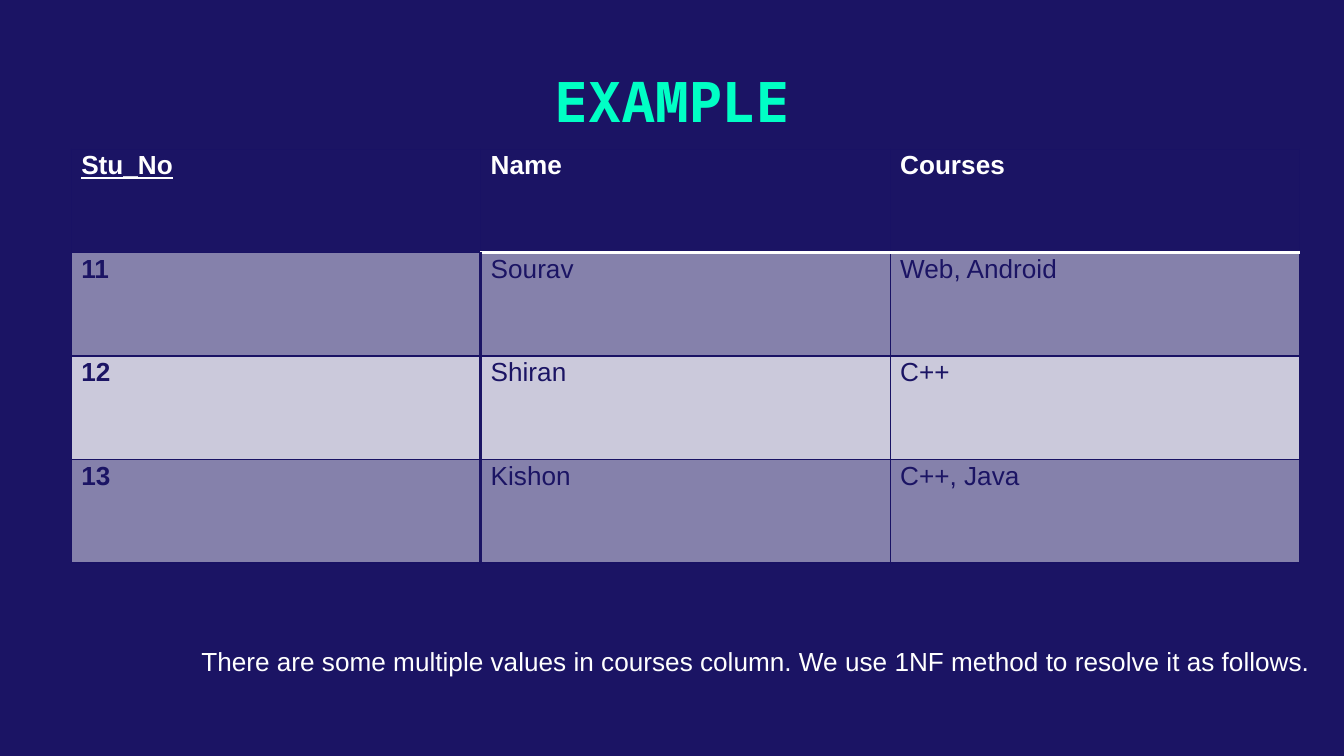
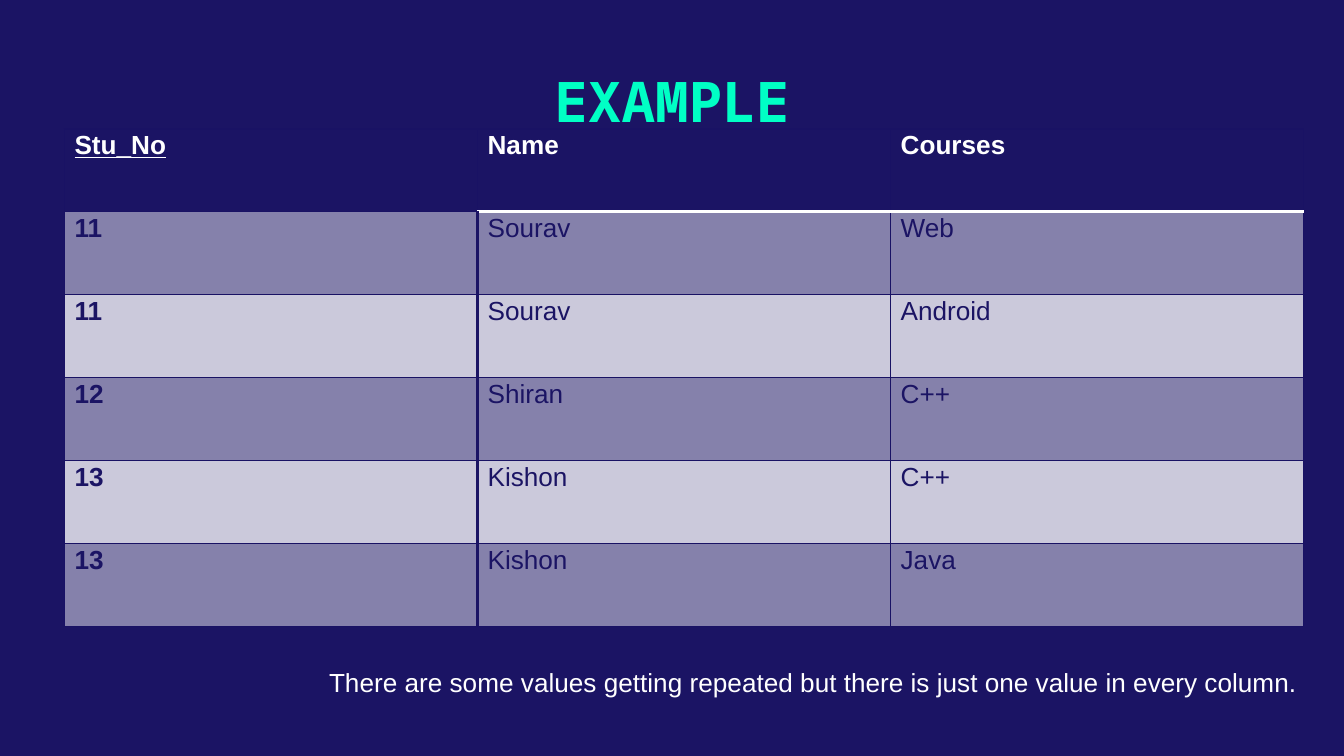
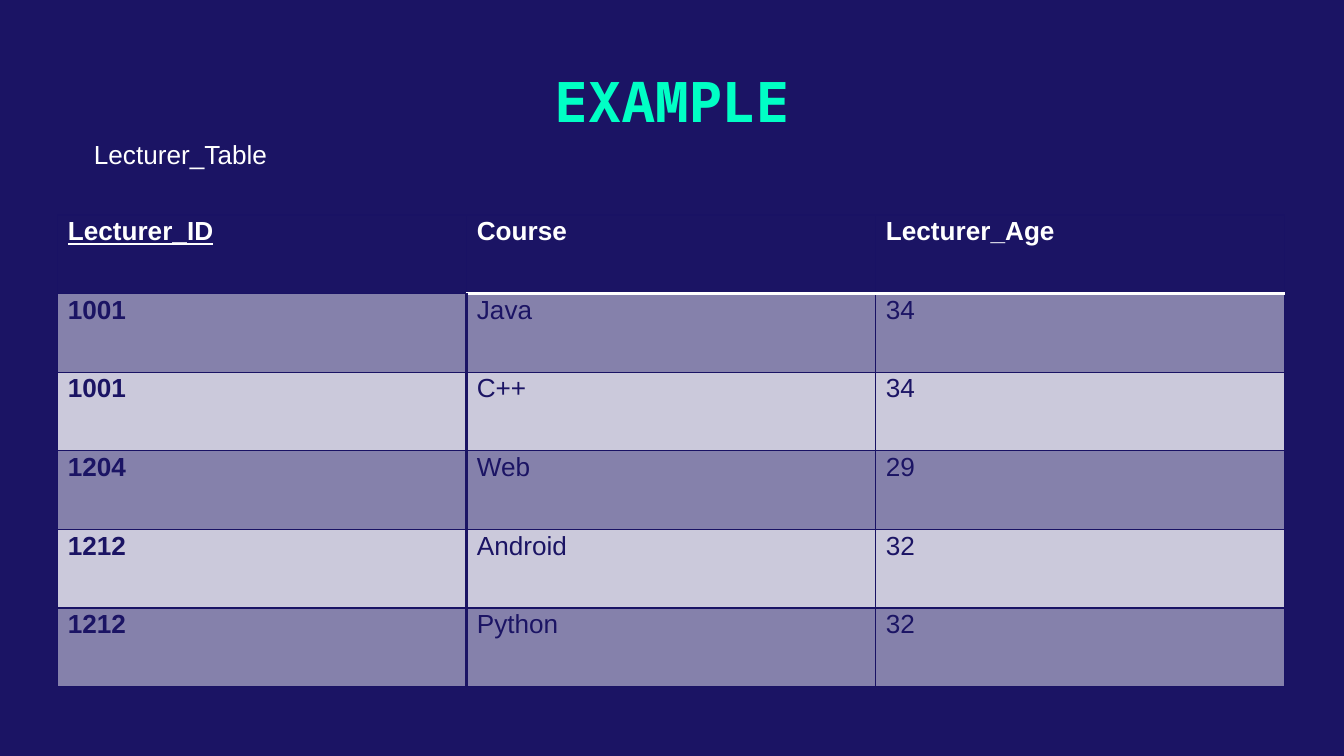
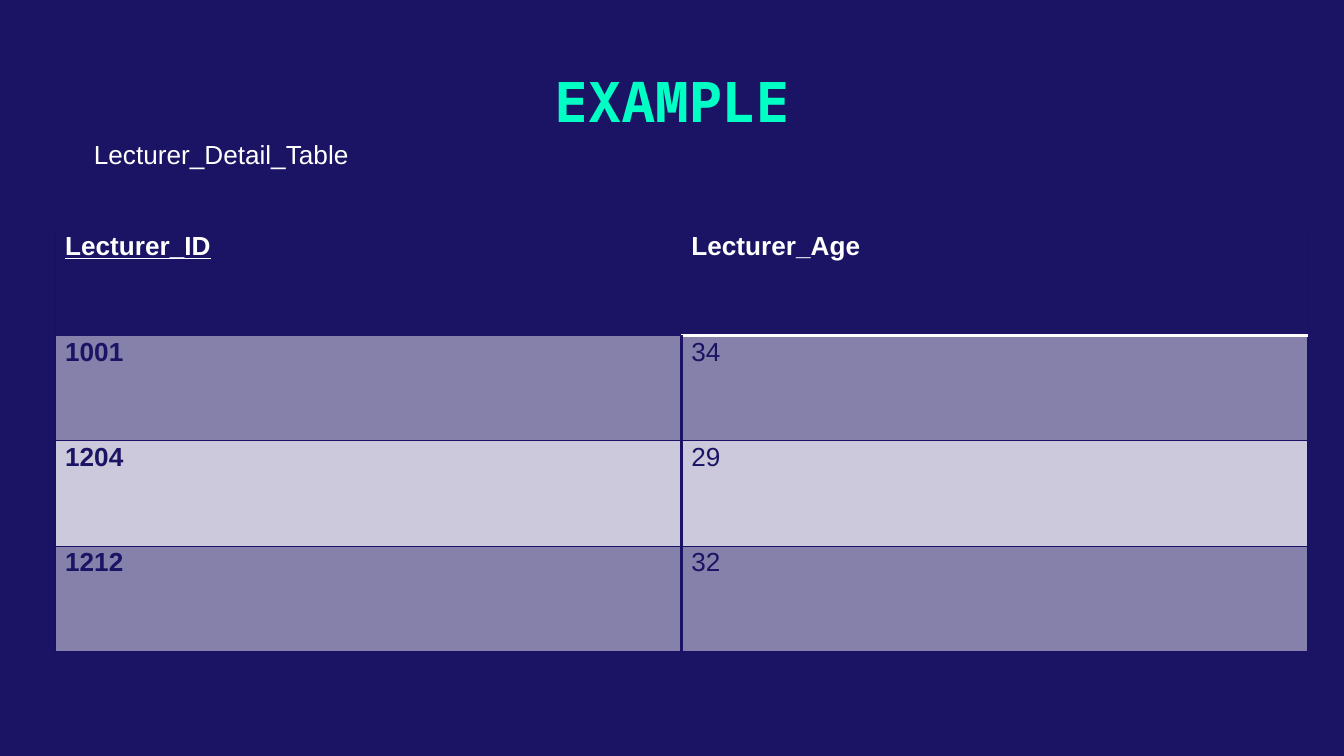
"""Build four slides that show example tables for database normal forms."""
import pptx
import pptx.util
import pptx.dml.color
import pptx.enum.text
import pptx.oxml
import pptx.oxml.ns

Inches = pptx.util.Inches
Pt = pptx.util.Pt
RGBColor = pptx.dml.color.RGBColor
ALIGN = pptx.enum.text.PP_ALIGN
ANCHOR = pptx.enum.text.MSO_ANCHOR
FIT = pptx.enum.text.MSO_AUTO_SIZE

NAVY = RGBColor(0x1B, 0x14, 0x64)
EDGE = RGBColor(0x19, 0x12, 0x64)
MINT = RGBColor(0x00, 0xFF, 0xC5)
WHITE = RGBColor(0xFF, 0xFF, 0xFF)
BANDS = [RGBColor(0x85, 0x81, 0xAB), RGBColor(0xCB, 0xC9, 0xDB)]

TITLE = "EXAMPLE"
TITLE_BOX = (1.4, 0.38, 7.2, 0.73)
LABEL_BOX = (0.6, 0.98, 3.59, 0.34)

SLIDES = [
    {
        "note": "There are some multiple values in courses column. "
                "We use 1NF method to resolve it as follows.",
        "note_box": (1.4, 4.75, 8.83, 0.34),
        "grid_box": (0.53, 1.11, 9.14, 3.08),
        "rows": [
            ("Stu_No", "Name", "Courses"),
            ("11", "Sourav", "Web, Android"),
            ("12", "Shiran", "C++"),
            ("13", "Kishon", "C++, Java"),
        ],
    },
    {
        "note": "There are some values getting repeated but there is "
                "just one value in every column.",
        "note_box": (2.35, 4.91, 9.5, 0.34),
        "grid_box": (0.48, 0.96, 9.22, 3.7),
        "rows": [
            ("Stu_No", "Name", "Courses"),
            ("11", "Sourav", "Web"),
            ("11", "Sourav", "Android"),
            ("12", "Shiran", "C++"),
            ("13", "Kishon", "C++"),
            ("13", "Kishon", "Java"),
        ],
    },
    {
        "note": "Lecturer_Table",
        "note_box": LABEL_BOX,
        "grid_box": (0.43, 1.6, 9.13, 3.51),
        "rows": [
            ("Lecturer_ID", "Course", "Lecturer_Age"),
            ("1001", "Java", "34"),
            ("1001", "C++", "34"),
            ("1204", "Web", "29"),
            ("1212", "Android", "32"),
            ("1212", "Python", "32"),
        ],
    },
    {
        "note": "Lecturer_Detail_Table",
        "note_box": LABEL_BOX,
        "grid_box": (0.41, 1.71, 9.32, 3.14),
        "rows": [
            ("Lecturer_ID", "Lecturer_Age"),
            ("1001", "34"),
            ("1204", "29"),
            ("1212", "32"),
        ],
    },
]


def write(frame, text, size=14, font="Arial", color=WHITE, bold=False,
          line=False, align=ALIGN.LEFT, space=None):
    """Put one formatted paragraph into a text frame."""
    para = frame.paragraphs[0]
    para.alignment = align
    if space:
        para.line_spacing = space
    run = para.add_run()
    run.text = text
    run.font.size = Pt(size)
    run.font.name = font
    run.font.color.rgb = color
    run.font.bold = bold
    run.font.underline = line


def border(cell, side, color, width):
    """Append one border line to a cell: side is L, R, T or B."""
    space = pptx.oxml.ns.nsdecls("a")
    cell._tc.get_or_add_tcPr().append(pptx.oxml.parse_xml(
        f'<a:ln{side} {space} w="{Pt(width)}"><a:solidFill>'
        f'<a:srgbClr val="{color}"/></a:solidFill></a:ln{side}>'))


def edges(row, col):
    """Return the colour and width of each border of a cell."""
    thin, thick, rule = (EDGE, 0.75), (NAVY, 2), (WHITE, 2)
    body = row > 0
    return {
        "L": thick if body and col == 1 else thin,
        "R": thick if body and col == 0 else thin,
        "T": rule if row == 1 and col else thin,
        "B": rule if row == 0 and col else thin,
    }


def add_grid(slide, rows, box):
    """Draw the rows as a table of equal cells."""
    wide, high = len(rows[0]), len(rows)
    left, top, width, height = map(Inches, box)
    grid = slide.shapes.add_table(high, wide, left, top, width, height).table
    for r, row in enumerate(rows):
        for c, text in enumerate(row):
            cell = grid.cell(r, c)
            cell.margin_left = cell.margin_right = Pt(5.4)
            cell.margin_top = cell.margin_bottom = 0
            for side, (color, size) in edges(r, c).items():
                border(cell, side, color, size)
            cell.fill.solid()
            cell.fill.fore_color.rgb = BANDS[(r - 1) % 2] if r else NAVY
            write(cell.text_frame, text, color=NAVY if r else WHITE,
                  bold=r == 0 or c == 0, line=r == 0 and c == 0,
                  align=ALIGN.JUSTIFY, space=1.07)


def add_title(slide):
    """Place and format the title."""
    title = slide.shapes.title
    title.left, title.top, title.width, title.height = map(Inches, TITLE_BOX)
    frame = title.text_frame
    frame.auto_size = FIT.NONE
    frame.vertical_anchor = ANCHOR.MIDDLE
    frame.margin_left = frame.margin_right = Inches(0.1)
    frame.margin_top = frame.margin_bottom = Inches(0.1)
    write(frame, TITLE, size=30, font="Noto Sans Mono", color=MINT,
          bold=True, align=ALIGN.CENTER)


def add_note(slide, text, box):
    """Add a line of plain text beside the table."""
    frame = slide.shapes.add_textbox(*map(Inches, box)).text_frame
    frame.word_wrap = True
    frame.auto_size = FIT.SHAPE_TO_FIT_TEXT
    write(frame, text)


def main():
    """Build and save the deck."""
    deck = pptx.Presentation()
    deck.slide_width = Inches(10)
    deck.slide_height = deck.slide_width * 9 // 16
    back = deck.slide_master.background.fill
    back.solid()
    back.fore_color.rgb = NAVY
    for item in SLIDES:
        slide = deck.slides.add_slide(deck.slide_layouts[5])
        add_title(slide)
        add_grid(slide, item["rows"], item["grid_box"])
        add_note(slide, item["note"], item["note_box"])
    deck.save("out.pptx")


if __name__ == "__main__":
    main()
